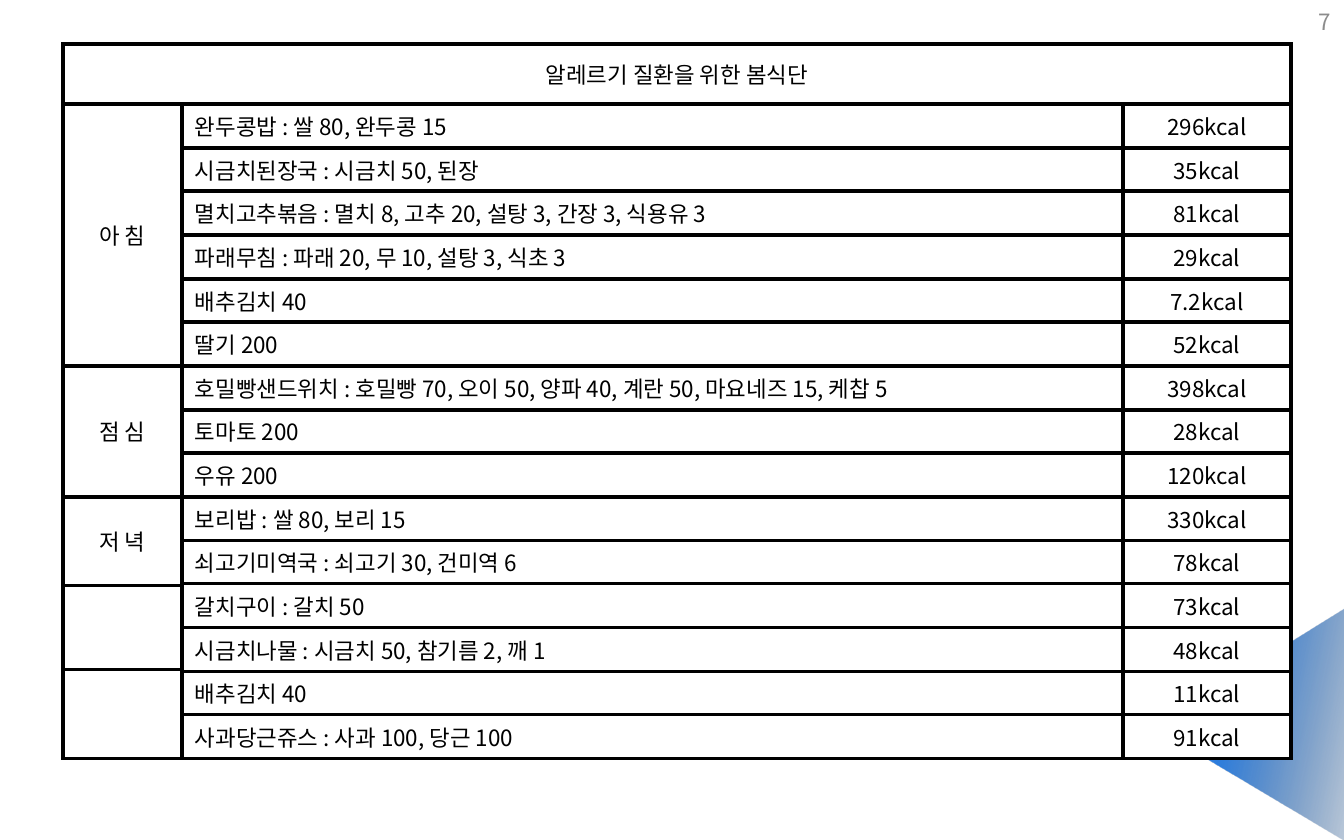
"""Build the spring menu table slide for people with allergies."""
from dataclasses import dataclass

import lxml.etree
import pptx
import pptx.dml.color
import pptx.enum.shapes
import pptx.enum.text
import pptx.oxml.ns
import pptx.util

ALIGN = pptx.enum.text.PP_ALIGN
MIDDLE = pptx.enum.text.MSO_ANCHOR.MIDDLE
qn = pptx.oxml.ns.qn


@dataclass(frozen=True)
class Theme:
    font: str = "Noto Sans CJK KR"
    size: int = 12
    ink: str = "000000"
    paper: str = "FFFFFF"
    muted: str = "8C8C8C"
    border: float = 2.25
    gradient: tuple = ((0, "1D4B82", 30), (60, "2E7EDE", 100), (100, "88ADED", 100))
    gradient_angle: int = 258


@dataclass(frozen=True)
class Dish:
    name: str
    energy: str
    thin_row: str = ""


@dataclass(frozen=True)
class Meal:
    name: str
    first_row: int
    last_row: int


THEME = Theme()
TITLE = "알레르기 질환을 위한 봄식단"
TITLE_HEIGHT, DISHES_HEIGHT, THIN = 60, 655, 2
COLUMNS = (119, 941, 168)
DISHES = (
    Dish("완두콩밥 : 쌀 80, 완두콩 15", "296kcal"),
    Dish("시금치된장국 : 시금치 50, 된장", "35kcal"),
    Dish("멸치고추볶음 : 멸치 8, 고추 20, 설탕 3, 간장 3, 식용유 3", "81kcal"),
    Dish("파래무침 : 파래 20, 무 10, 설탕 3, 식초 3", "29kcal"),
    Dish("배추김치 40", "7.2kcal"),
    Dish("딸기 200", "52kcal"),
    Dish("호밀빵샌드위치 : 호밀빵 70, 오이 50, 양파 40, 계란 50, 마요네즈 15, 케찹 5", "398kcal"),
    Dish("토마토 200", "28kcal"),
    Dish("우유 200", "120kcal"),
    Dish("보리밥 : 쌀 80, 보리 15", "330kcal"),
    Dish("쇠고기미역국 : 쇠고기 30, 건미역 6", "78kcal"),
    Dish("갈치구이 : 갈치 50", "73kcal", "above"),
    Dish("시금치나물 : 시금치 50, 참기름 2, 깨 1", "48kcal", "below"),
    Dish("배추김치 40", "11kcal"),
    Dish("사과당근쥬스 : 사과 100, 당근 100", "91kcal"),
)
MEALS = (
    Meal("아 침", 1, 6), Meal("점 심", 7, 9), Meal("저 녁", 10, 12),
    Meal("", 13, 14), Meal("", 15, 17),
)


def px(length: int) -> pptx.util.Emu:
    """Turn pixels into EMU."""
    return pptx.util.Emu(round(length * 914400 / 134.4))


def set_all(target, values: dict) -> None:
    """Set every named attribute on the target."""
    for name, value in values.items():
        setattr(target, name, value)


def write(frame, text: str, align, color: str) -> None:
    """Write one formatted paragraph."""
    para = frame.paragraphs[0]
    para.alignment = align
    span = para.add_run()
    span.text = text
    set_all(span.font, {"name": THEME.font, "size": pptx.util.Pt(THEME.size)})
    span.font.color.rgb = pptx.dml.color.RGBColor.from_string(color)
    east_asian = lxml.etree.SubElement(span.font._element, qn("a:ea"))
    east_asian.set("typeface", THEME.font)


def solid(parent, color: str) -> None:
    """Append a solid fill element."""
    fill = lxml.etree.SubElement(parent, qn("a:solidFill"))
    lxml.etree.SubElement(fill, qn("a:srgbClr")).set("val", color)


def style_cell(cell) -> None:
    """Give a cell its margins, fill and four borders."""
    set_all(cell, {
        "margin_left": px(13), "margin_right": px(13),
        "margin_top": px(5), "margin_bottom": px(5), "vertical_anchor": MIDDLE,
    })
    cell.fill.solid()
    cell.fill.fore_color.rgb = pptx.dml.color.RGBColor.from_string(THEME.paper)
    cell.text_frame.paragraphs[0].font.size = pptx.util.Pt(THEME.size)
    properties = cell._tc.get_or_add_tcPr()
    for position, side in enumerate(("lnL", "lnR", "lnT", "lnB")):
        line = lxml.etree.Element(qn(f"a:{side}"), w=str(pptx.util.Pt(THEME.border)))
        solid(line, THEME.ink)
        properties.insert(position, line)


def fill_cell(table, first: tuple, last: tuple, text: str, align=ALIGN.CENTER) -> None:
    """Merge a block of cells and write its text with a hanging indent."""
    cell = table.cell(*first)
    if first != last:
        cell.merge(table.cell(*last))
    if text:
        write(cell.text_frame, text, align, THEME.ink)
        properties = cell.text_frame.paragraphs[0]._p.get_or_add_pPr()
        properties.set("marL", str(px(51)))
        properties.set("indent", str(-px(51)))


def row_heights() -> list[int]:
    """Share the height among dishes, splitting off the thin rows."""
    heights = [TITLE_HEIGHT]
    edges = [round(DISHES_HEIGHT * i / len(DISHES)) for i in range(len(DISHES) + 1)]
    for dish, top, bottom in zip(DISHES, edges, edges[1:]):
        height = bottom - top
        splits = {"": [height], "above": [THIN, height - THIN], "below": [height - THIN, THIN]}
        heights += splits[dish.thin_row]
    return heights


def draw_menu(page) -> None:
    """Draw the menu table."""
    heights = row_heights()
    table = page.shapes.add_table(
        len(heights), len(COLUMNS), px(63), px(44), px(sum(COLUMNS)), px(sum(heights))
    ).table
    set_all(table, {"first_row": False, "horz_banding": False})
    for column, width in zip(table.columns, COLUMNS):
        column.width = px(width)
    for row, height in zip(table.rows, heights):
        row.height = px(height)
    for cell in table.iter_cells():
        style_cell(cell)
    fill_cell(table, (0, 0), (0, 2), TITLE)
    for meal in MEALS:
        fill_cell(table, (meal.first_row, 0), (meal.last_row, 0), meal.name)
    row = 1
    for dish in DISHES:
        last = row + bool(dish.thin_row)
        fill_cell(table, (row, 1), (last, 1), dish.name, ALIGN.LEFT)
        fill_cell(table, (row, 2), (last, 2), dish.energy)
        row = last + 1


def draw_corner(page) -> None:
    """Draw the gradient triangle in the corner."""
    triangle = page.shapes.add_shape(
        pptx.enum.shapes.MSO_SHAPE.ISOSCELES_TRIANGLE, px(1133), px(629), px(232), px(191)
    )
    triangle.rotation = 90
    triangle.adjustments[0] = 0.51
    triangle.shadow.inherit = False
    triangle.line.fill.background()
    properties = triangle._element.spPr
    properties.find(qn("a:xfrm")).set("flipV", "1")
    gradient = lxml.etree.Element(qn("a:gradFill"), rotWithShape="1")
    stops = lxml.etree.SubElement(gradient, qn("a:gsLst"))
    for position, color, opacity in THEME.gradient:
        stop = lxml.etree.SubElement(stops, qn("a:gs"), pos=str(position * 1000))
        tint = lxml.etree.SubElement(stop, qn("a:srgbClr"), val=color)
        lxml.etree.SubElement(tint, qn("a:alpha"), val=str(opacity * 1000))
    lxml.etree.SubElement(gradient, qn("a:lin"), ang=str(THEME.gradient_angle * 60000), scaled="0")
    properties.find(qn("a:prstGeom")).addnext(gradient)


def draw_page_number(page) -> None:
    """Draw the page number in the top right corner."""
    box = page.shapes.add_textbox(px(1031), px(0), px(313), px(44))
    set_all(box.text_frame, {"word_wrap": True, "vertical_anchor": MIDDLE})
    write(box.text_frame, "7", ALIGN.RIGHT, THEME.muted)


def main() -> None:
    """Build and save the deck."""
    deck = pptx.Presentation()
    set_all(deck, {"slide_width": px(1344), "slide_height": px(840)})
    page = deck.slides.add_slide(deck.slide_layouts[6])
    draw_corner(page)
    draw_menu(page)
    draw_page_number(page)
    deck.save("out.pptx")


if __name__ == "__main__":
    main()
